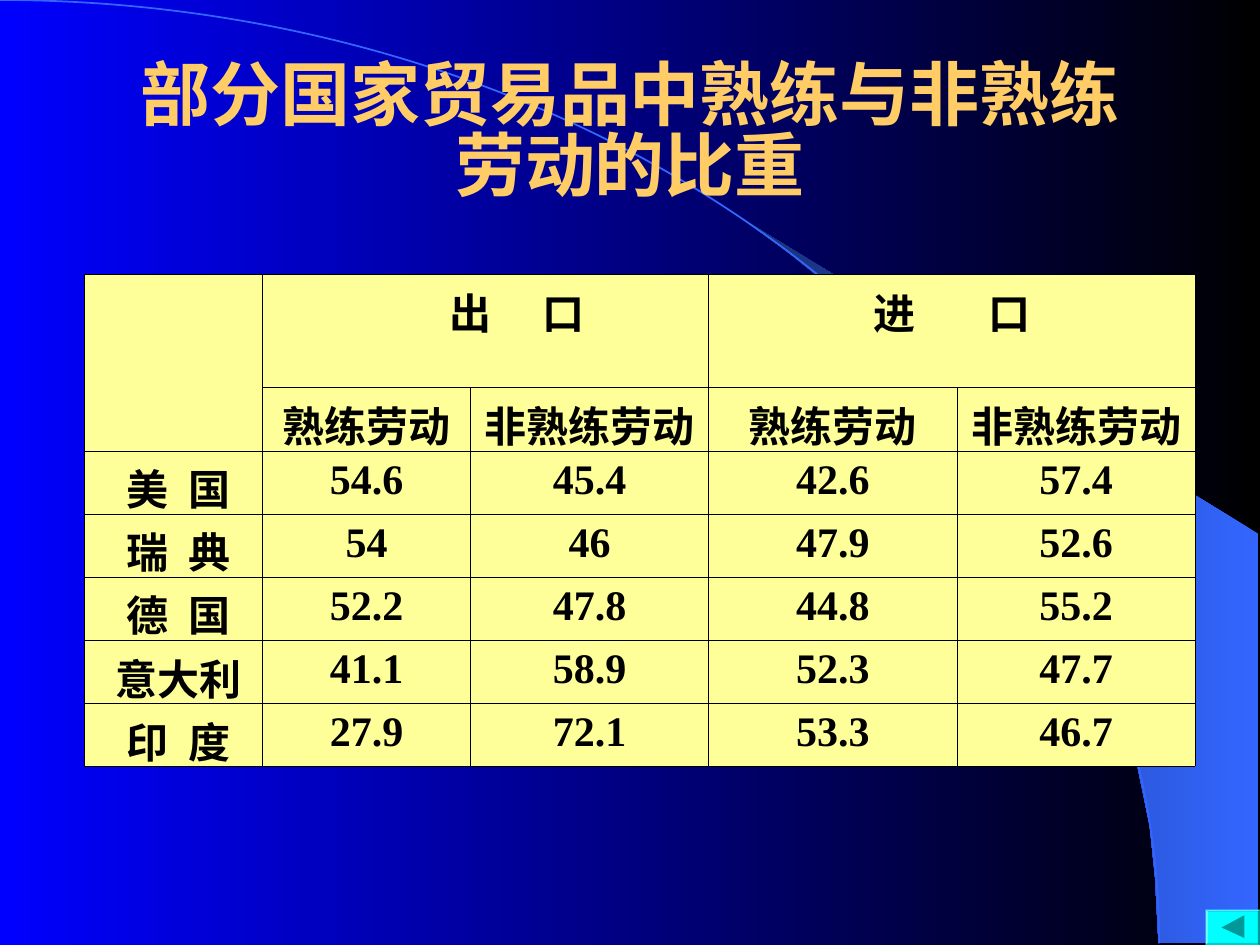
from lxml import etree
from pptx import Presentation
from pptx.dml.color import RGBColor
from pptx.enum.shapes import MSO_SHAPE
from pptx.enum.text import MSO_ANCHOR, PP_ALIGN
from pptx.oxml.ns import qn
from pptx.util import Pt

ARC = MSO_SHAPE.ARC
BEVEL = MSO_SHAPE.BEVEL
CENTER = PP_ALIGN.CENTER
MIDDLE = MSO_ANCHOR.MIDDLE

COLORS = {
    "black": "000000",
    "blue": "0000FF",
    "sky": "3366FF",
    "navy": "172F75",
    "gold": "FFCC66",
    "cream": "FFFF99",
    "cyan": "00FFFF",
    "teal": "009999",
}

TITLE = "部分国家贸易品中熟练与非熟练劳动的比重"
LABOUR_TYPES = ["熟练劳动", "非熟练劳动"]
SHARES = [
    ("美 国", "54.6", "45.4", "42.6", "57.4"),
    ("瑞 典", "54", "46", "47.9", "52.6"),
    ("德 国", "52.2", "47.8", "44.8", "55.2"),
    ("意大利", "41.1", "58.9", "52.3", "47.7"),
    ("印 度", "27.9", "72.1", "53.3", "46.7"),
]
COLUMN_WIDTHS = [102, 119, 136, 142, 136]
ROW_HEIGHTS = [64.8] + [36] * 6
CELL_MARGIN = 7.2

CRESCENT = [
    (662.4, 538.6), (719.3, 539.3), (719.3, 304.6), (424.1, 124.6),
    (449.3, 143.3), (470.2, 159.8), (493.2, 180), (515.5, 201.6),
    (548.6, 237.6), (578.2, 276.5), (599, 310.3), (617.8, 344.9),
    (632.2, 380.2), (643, 411.8), (650.2, 438.5), (657.4, 472.3),
    (660.2, 501.1),
]
BACK_ARROW = [(697.7, 529.9), (711.4, 523.4), (711.4, 536.4)]


def color(name):
    return RGBColor.from_string(COLORS[name])


def fill_solid(fill, name):
    fill.solid()
    fill.fore_color.rgb = color(name)


def fill_gradient(fill, right, left):
    fill.gradient()
    fill.gradient_angle = 180
    for stop, name in zip(fill.gradient_stops, (right, left)):
        stop.color.rgb = color(name)


def add_outline(slide, points):
    builder = slide.shapes.build_freeform(*points[0], scale=Pt(1))
    builder.add_line_segments(points[1:], close=True)
    shape = builder.convert_to_shape()
    shape.shadow.inherit = False
    shape.line.fill.background()
    return shape


def add_preset(slide, kind, left, top, width, height):
    shape = slide.shapes.add_shape(kind, Pt(left), Pt(top), Pt(width), Pt(height))
    shape.shadow.inherit = False
    return shape


def add_run(paragraph, text, size, font_name, color_name):
    run = paragraph.add_run()
    run.text = text
    run.font.size = Pt(size)
    run.font.name = font_name
    run.font.bold = True
    run.font.color.rgb = color(color_name)
    return run


def add_backdrop(slide):
    fill_gradient(slide.background.fill, "black", "blue")
    fill_gradient(add_outline(slide, CRESCENT).fill, "sky", "navy")
    arc = add_preset(slide, ARC, -662.4, 0, 1324.8, 1078)
    arc.fill.background()
    arc.line.color.rgb = color("sky")
    arc.line.width = Pt(1)


def add_title(slide):
    box = slide.shapes.add_textbox(Pt(54), Pt(32), Pt(612), Pt(90))
    frame = box.text_frame
    frame.word_wrap = True
    frame.vertical_anchor = MIDDLE
    paragraph = frame.paragraphs[0]
    paragraph.alignment = CENTER
    paragraph.line_spacing = 0.84
    add_run(paragraph, TITLE, 40, "Arial", "gold")


def style_cell(cell):
    fill_solid(cell.fill, "cream")
    properties = cell._tc.get_or_add_tcPr()
    for index, side in enumerate(("lnL", "lnR", "lnT", "lnB")):
        border = etree.Element(qn(f"a:{side}"), w=str(Pt(0.45)))
        solid = etree.SubElement(border, qn("a:solidFill"))
        etree.SubElement(solid, qn("a:srgbClr"), val=COLORS["black"])
        properties.insert(index, border)


def write_cell(cell, text, gap=0, shift=0):
    cell.margin_left = Pt(CELL_MARGIN + shift)
    paragraph = cell.text_frame.paragraphs[0]
    paragraph.alignment = CENTER
    first, space, last = text.partition(" ")
    for part in filter(None, (first, space, last)):
        run = add_run(paragraph, part, 24, "Times New Roman", "black")
        if part == " ":
            run.font._element.set("spc", str(gap * 100))


def add_share_table(slide):
    frame = slide.shapes.add_table(
        len(ROW_HEIGHTS), len(COLUMN_WIDTHS), Pt(48), Pt(156.8),
        Pt(sum(COLUMN_WIDTHS)), Pt(sum(ROW_HEIGHTS)))
    table = frame.table
    table.first_row = False
    table.horz_banding = False
    for column, width in zip(table.columns, COLUMN_WIDTHS):
        column.width = Pt(width)
    for row, height in zip(table.rows, ROW_HEIGHTS):
        row.height = Pt(height)
    for cell in table.iter_cells():
        style_cell(cell)

    table.cell(0, 0).merge(table.cell(1, 0))
    table.cell(0, 1).merge(table.cell(0, 2))
    table.cell(0, 3).merge(table.cell(0, 4))
    write_cell(table.cell(0, 1), "出 口", gap=24, shift=36)
    write_cell(table.cell(0, 3), "进 口", gap=36)
    for column, label in enumerate(LABOUR_TYPES * 2, start=1):
        write_cell(table.cell(1, column), label)
    for row, (country, *values) in enumerate(SHARES, start=2):
        write_cell(table.cell(row, 0), country, gap=6, shift=6)
        for column, value in enumerate(values, start=1):
            write_cell(table.cell(row, column), value)


def add_back_button(slide):
    button = add_preset(slide, BEVEL, 689, 519.8, 31, 20.2)
    button.adjustments[0] = 0.06
    fill_solid(button.fill, "cyan")
    button.line.fill.background()
    fill_solid(add_outline(slide, BACK_ARROW).fill, "teal")


def main():
    presentation = Presentation()
    presentation.slide_width = Pt(720)
    presentation.slide_height = Pt(540)
    slide = presentation.slides.add_slide(presentation.slide_layouts[6])
    add_backdrop(slide)
    add_title(slide)
    add_share_table(slide)
    add_back_button(slide)
    presentation.save("out.pptx")


if __name__ == "__main__":
    main()
